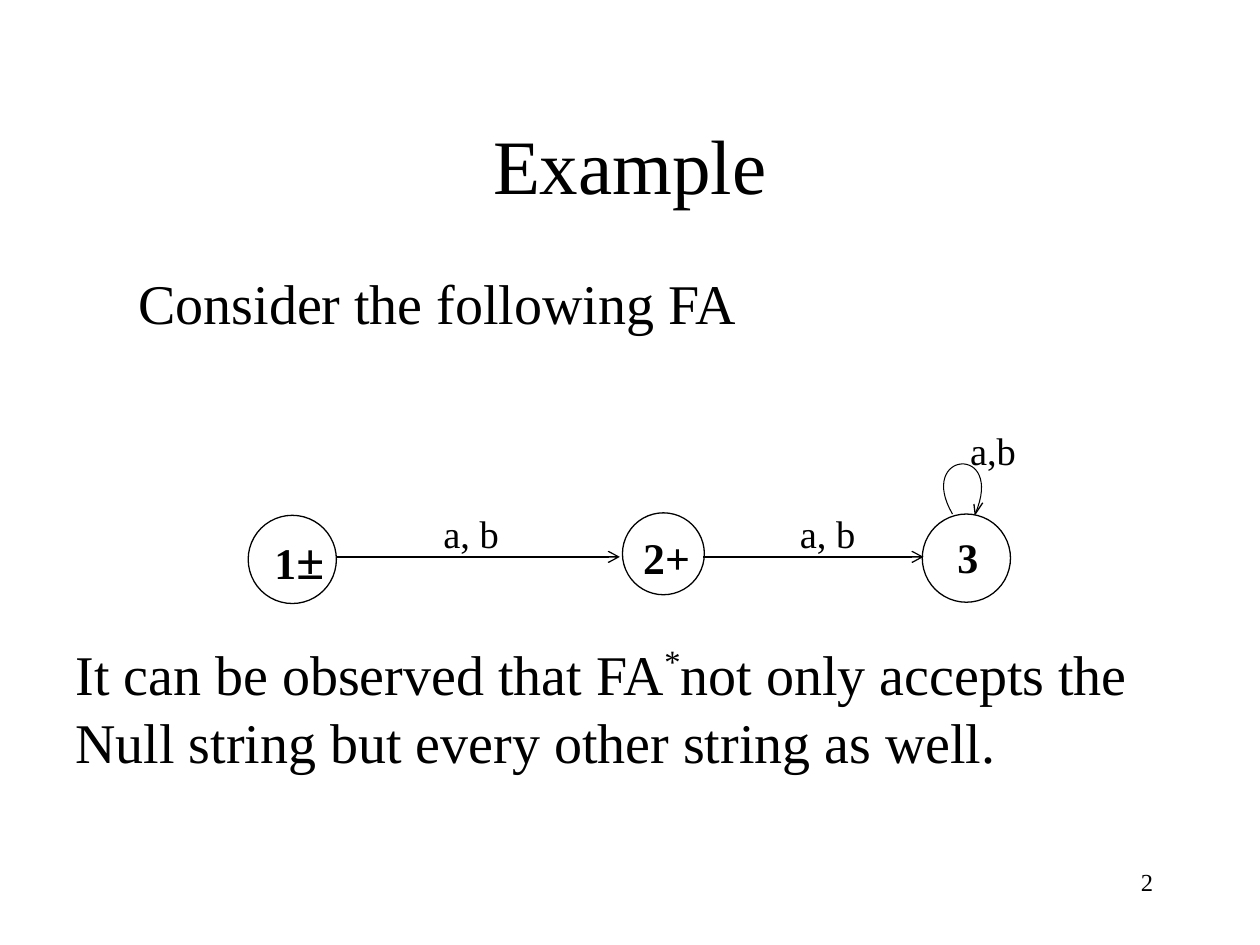
from lxml.etree import SubElement
from pptx import Presentation
from pptx.dml.color import RGBColor
from pptx.enum.shapes import MSO_CONNECTOR as CONN, MSO_SHAPE as SHAPE
from pptx.enum.text import MSO_ANCHOR as ANCHOR, PP_ALIGN as ALIGN
from pptx.oxml.ns import qn
from pptx.util import Inches, Pt

W, H = 10, 7.5
FONT, BLACK, WHITE = "Times New Roman", "000000", "FFFFFF"
LEFT, CENTER, RIGHT = ALIGN.LEFT, ALIGN.CENTER, ALIGN.RIGHT


def color(value):
    return RGBColor.from_string(value)


def place(shape, box):
    for name, value in zip(("left", "top", "width", "height"), box):
        setattr(shape, name, Inches(value))


def write(shape, runs, align=LEFT, before=0, anchor=ANCHOR.TOP, wrap=True):
    """Fill a shape with one paragraph of (text, size, *style) runs."""
    tf = shape.text_frame
    tf.word_wrap, tf.vertical_anchor = wrap, anchor
    p = tf.paragraphs[0]
    p.alignment, p.space_before = align, Pt(before)
    for text, size, *extra in runs:
        r = p.add_run()
        r.text = text
        for name, value in {"name": FONT, "size": Pt(size), "bold": "bold" in extra}.items():
            setattr(r.font, name, value)
        r.font.color.rgb = color(BLACK)
        if "super" in extra:
            r._r.get_or_add_rPr().set("baseline", "40000")


def text_box(s, box, runs, **fmt):
    write(s.shapes.add_textbox(*map(Inches, box)), runs, **fmt)


def outline(shape, width=0.75):
    shape.line.color.rgb = color(BLACK)
    shape.line.width = Pt(width)


def arrow(s, x1, x2, y):
    line = s.shapes.add_connector(CONN.STRAIGHT, *map(Inches, (x1, y, x2, y)))
    outline(line)
    sp_pr = line._element.spPr
    SubElement(sp_pr.find(qn("a:ln")), qn("a:tailEnd"), type="arrow")
    SubElement(sp_pr, qn("a:effectLst"))


def polyline(s, points, width):
    pts = [(Inches(x), Inches(y)) for x, y in points]
    builder = s.shapes.build_freeform(*pts[0])
    builder.add_line_segments(pts[1:], close=False)
    shape = builder.convert_to_shape()
    shape.shadow.inherit = False
    shape.fill.background()
    outline(shape, width)


def bezier(a, b, c, d, steps=32):
    for t in (i / steps for i in range(steps + 1)):
        u = 1 - t
        yield tuple(u**3 * i + 3 * u * u * t * j + 3 * u * t * t * k + t**3 * m
                    for i, j, k, m in zip(a, b, c, d))


def title(s, box):
    place(s.shapes.title, box)
    write(s.shapes.title, [("Example", 44)], align=CENTER, anchor=ANCHOR.MIDDLE)


def automaton(s, x, y):
    """Three states and their transitions, from the top left corner (x, y)."""
    # States: offset, diameter, label offset, label width, label runs
    states = [
        ((0, 0.75), 0.7, (0.11, 0.81), 0.92, [("1", 25, "bold"), ("±", 29, "bold")], LEFT),
        ((2.97, 0.73), 0.65, (2.86, 0.82), 0.92, [("2+", 25, "bold")], CENTER),
        ((5.35, 0.74), 0.7, (5.53, 0.83), 0.76, [("3", 24, "bold")], LEFT),
    ]
    for (dx, dy), size, (tx, ty), width, runs, align in states:
        circle = s.shapes.add_shape(SHAPE.OVAL, *map(Inches, (x + dx, y + dy, size, size)))
        circle.shadow.inherit = False
        circle.fill.solid()
        circle.fill.fore_color.rgb = color(WHITE)
        outline(circle)
        text_box(s, (x + tx, y + ty, width, 0.5), runs, align=align)

    # Transitions between neighbours
    for start, end in ((0.7, 2.95), (3.61, 5.36)):
        arrow(s, x + start, x + end, y + 1.08)

    # Loop on the last state, with its arrowhead
    curve = bezier((5.59, 0.74), (5.3, 0.24), (6.01, 0.18), (5.77, 0.74))
    head = [(5.76, 0.66), (5.77, 0.74), (5.83, 0.65)]
    for points, width in ((curve, 0.6), (head, 0.75)):
        polyline(s, [(x + px, y + py) for px, py in points], width)

    # Letters read on each transition
    for dx, dy, letters in ((1.45, 0.66, "a, b"), (4.28, 0.66, "a, b"), (5.63, 0, "a,b")):
        text_box(s, (x + dx, y + dy, 0.92, 0.5), [(letters, 22)])


def main():
    prs = Presentation()
    prs.slide_width, prs.slide_height = Inches(W), Inches(H)
    s = prs.slides.add_slide(prs.slide_layouts[5])

    title(s, (0.075 * W, 0.09 * H, 0.85 * W, H / 6))
    text_box(s, (0.1 * W, 2.08, 4.98, 0.64), [("Consider the following FA", 32)],
             before=8, wrap=False)
    automaton(s, 1.97, 3.34)
    text_box(s, (0.05 * W, 5.03, 9.25, 1.17),
             [("It can be observed that FA", 32), ("*", 32, "super"),
              ("not only accepts the Null string but every other string as well.", 32)],
             before=8)
    # Page number
    text_box(s, (7.17, 6.83, 2.08, 0.5), [("2", 14)], align=RIGHT)
    prs.save("out.pptx")


if __name__ == "__main__":
    main()
